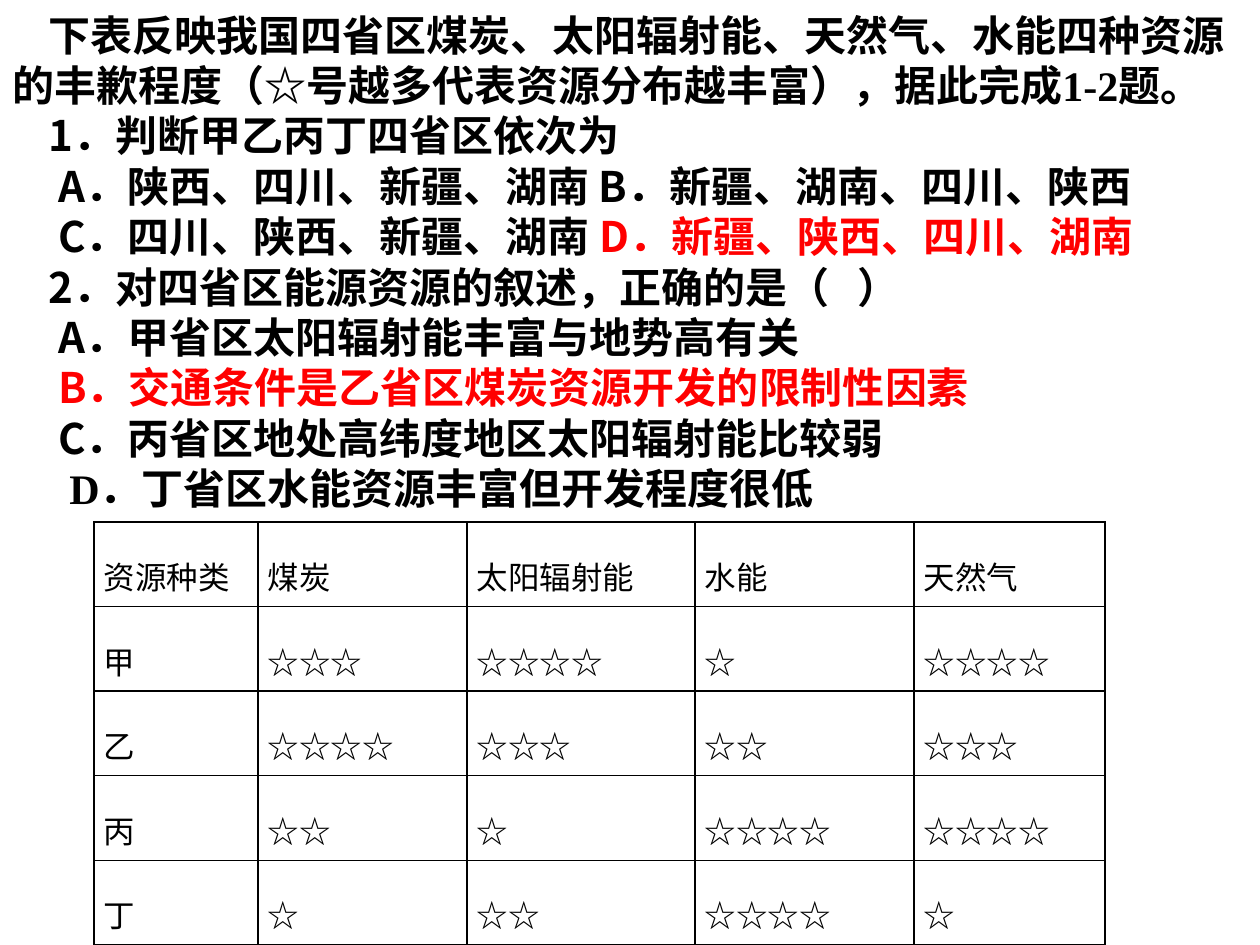
import pptx
import pptx.dml.color
import pptx.enum.text
import pptx.oxml.ns
import pptx.util
from lxml import etree

SCALE = 914400 / 126
COLORS = {"text": "000000", "answer": "FF0000", "paper": "FFFFFF"}
SERIF, SANS, ARIAL = "Times New Roman", "Noto Sans CJK SC", "Arial"
STEM, OPTION, LAST_OPTION = 36, 46, 57

QUESTIONS = [
    (STEM, [("下表反映我国四省区煤炭、太阳辐射能、天然气、水能四种资源的丰歉程度"
             "（☆号越多代表资源分布越丰富），据此完成1-2题。", SERIF, "text")]),
    (STEM, [("1．", SANS, "text"), ("判断甲乙丙丁四省区依次为", SERIF, "text")]),
    (OPTION, [("A．", SANS, "text"), ("陕西、四川、新疆、湖南 ", SERIF, "text"),
              ("B．", SANS, "text"), ("新疆、湖南、四川、陕西", SERIF, "text")]),
    (OPTION, [("C．", SANS, "text"), ("四川、陕西、新疆、湖南 ", SERIF, "text"),
              ("D．", SANS, "answer"), ("新疆、陕西、四川、湖南", SERIF, "answer")]),
    (STEM, [("2．", SANS, "text"),
            ("对四省区能源资源的叙述，正确的是（   ）", SERIF, "text")]),
    (OPTION, [("A．", SANS, "text"),
              ("甲省区太阳辐射能丰富与地势高有关", SERIF, "text")]),
    (OPTION, [("B．", SANS, "answer"),
              ("交通条件是乙省区煤炭资源开发的限制性因素", SERIF, "answer")]),
    (OPTION, [("C．", SANS, "text"),
              ("丙省区地处高纬度地区太阳辐射能比较弱", SERIF, "text")]),
    (LAST_OPTION, [("D．丁省区", SERIF, "text"),
                   ("水能资源丰富但开发程度很低", ARIAL, "text")]),
]
RESOURCES = ["资源种类", "煤炭", "太阳辐射能", "水能", "天然气"]
STARS = {"甲": [3, 4, 1, 4], "乙": [4, 3, 2, 3],
         "丙": [2, 1, 4, 4], "丁": [1, 2, 4, 1]}
COLUMN_WIDTHS = [164, 209, 228, 219, 191]


def px(n):
    return pptx.util.Emu(round(n * SCALE))


def rgb(name):
    return pptx.dml.color.RGBColor.from_string(COLORS[name])


def add_text(p, text, size=18, font=SERIF, color="text", bold=False):
    r = p.add_run()
    r.text = text
    r.font.size = pptx.util.Pt(size)
    r.font.name = font
    r.font.bold = bold
    r.font.color.rgb = rgb(color)
    ea = etree.SubElement(r.font._element, pptx.oxml.ns.qn("a:ea"))
    ea.set("typeface", SANS)


def add_questions(s):
    sp = s.shapes.add_textbox(0, 0, px(1260), px(522))
    tf = sp.text_frame
    tf.word_wrap = True
    tf.vertical_anchor = pptx.enum.text.MSO_ANCHOR.MIDDLE
    for i, (indent, runs) in enumerate(QUESTIONS):
        p = tf.add_paragraph() if i else tf.paragraphs[0]
        p._p.get_or_add_pPr().set("indent", str(px(indent)))
        for text, font, color in runs:
            add_text(p, text, size=24, font=font, color=color, bold=True)


def add_borders(cell):
    tc_pr = cell._tc.get_or_add_tcPr()
    for i, side in enumerate(("lnL", "lnR", "lnT", "lnB")):
        ln = etree.Element(pptx.oxml.ns.qn("a:" + side), w="12700")
        fill = etree.SubElement(ln, pptx.oxml.ns.qn("a:solidFill"))
        etree.SubElement(fill, pptx.oxml.ns.qn("a:srgbClr"), val=COLORS["text"])
        tc_pr.insert(i, ln)


def fill_cell(cell, text, font):
    cell.fill.solid()
    cell.fill.fore_color.rgb = rgb("paper")
    cell.vertical_anchor = pptx.enum.text.MSO_ANCHOR.MIDDLE
    cell.margin_left = cell.margin_right = px(10)
    cell.margin_top = cell.margin_bottom = px(6)
    p = cell.text_frame.paragraphs[0]
    p.line_spacing = 1.5
    add_text(p, text, font=font)
    add_borders(cell)


def add_resource_table(s):
    rows = [RESOURCES] + [[name] + ["☆" * n for n in counts]
                          for name, counts in STARS.items()]
    table = s.shapes.add_table(len(rows), len(RESOURCES), px(94), px(522),
                               px(sum(COLUMN_WIDTHS)), px(423)).table
    table.first_row = table.horz_banding = False
    for column, width in zip(table.columns, COLUMN_WIDTHS):
        column.width = px(width)
    for i, row in enumerate(rows):
        for j, text in enumerate(row):
            fill_cell(table.cell(i, j), text, SANS if i and j else SERIF)


def main():
    prs = pptx.Presentation()
    prs.slide_width, prs.slide_height = px(1260), px(945)
    s = prs.slides.add_slide(prs.slide_layouts[6])
    add_questions(s)
    add_resource_table(s)
    prs.save("out.pptx")


if __name__ == "__main__":
    main()
